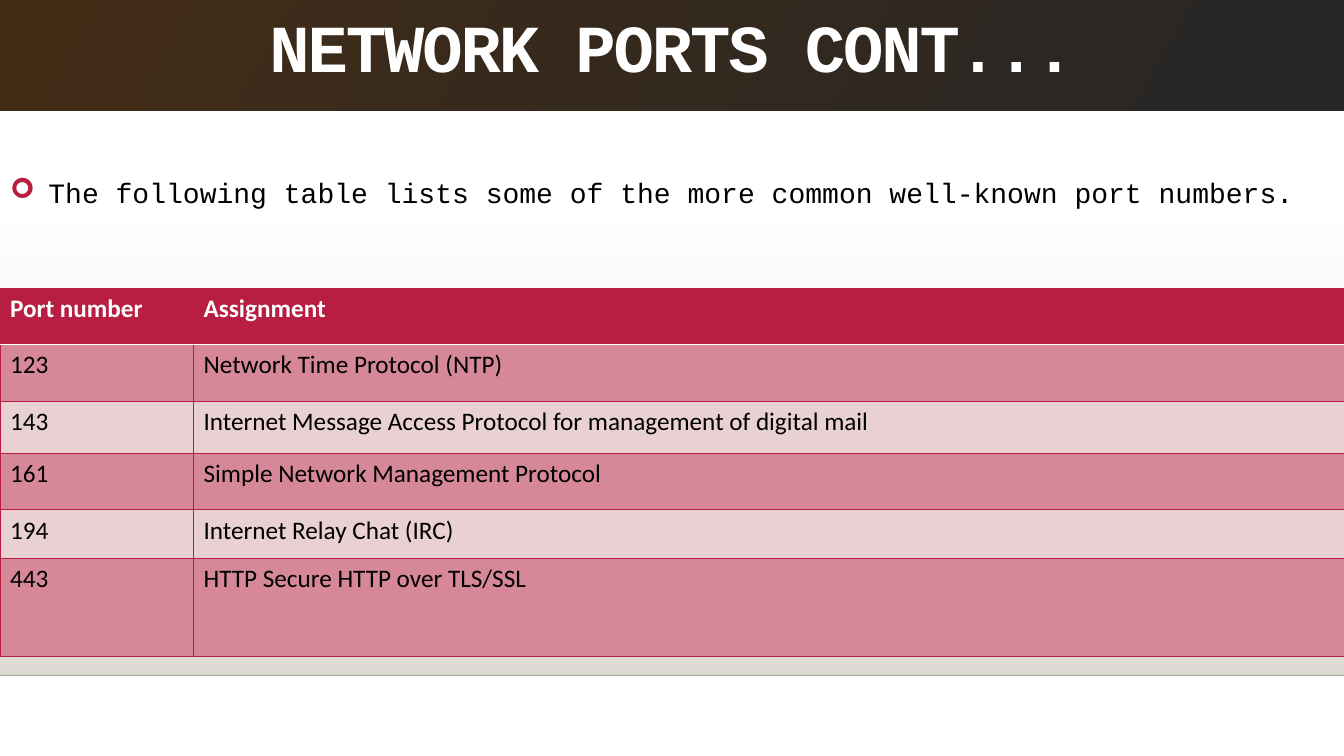
"""Builds the slide that lists common well-known network ports."""
from dataclasses import dataclass

from lxml.etree import SubElement
from pptx import Presentation
from pptx.dml.color import RGBColor
from pptx.enum.shapes import MSO_CONNECTOR as Connector, MSO_SHAPE as Preset
from pptx.enum.text import MSO_ANCHOR as Anchor, MSO_AUTO_SIZE as AutoSize, PP_ALIGN as Align
from pptx.oxml import parse_xml
from pptx.oxml.ns import nsdecls, qn
from pptx.util import Inches, Pt


@dataclass(frozen=True)
class Theme:
    white: str = "FFFFFF"
    black: str = "000000"
    accent: str = "B71E42"
    band_dark: str = "D68899"
    band_light: str = "E8D0D3"
    floor: str = "DFDBD5"
    title_dark: str = "262626"
    title_brown: str = "422C16"
    code_font: str = "Courier New"
    table_font: str = "Calibri"
    title_size: int = 48
    body_size: int = 20
    table_size: int = 18


theme = Theme()


def add_run(paragraph, text, font, size, color, bold=False):
    run = paragraph.add_run()
    run.text = text
    run.font.name, run.font.size, run.font.bold = font, Pt(size), bold
    run.font.color.rgb = RGBColor.from_string(color)
    return run


def set_gradient(shape, stops, angle):
    shape.fill.background()
    old_fill = shape._element.spPr.find(qn("a:noFill"))
    colors = "".join(
        f'<a:gs pos="{position * 1000}"><a:srgbClr val="{color}">'
        f'<a:alpha val="{opacity * 1000}"/></a:srgbClr></a:gs>'
        for position, color, opacity in stops)
    gradient = parse_xml(
        f'<a:gradFill {nsdecls("a")} rotWithShape="1"><a:gsLst>{colors}</a:gsLst>'
        f'<a:lin ang="{angle * 60000}" scaled="0"/></a:gradFill>')
    old_fill.getparent().replace(old_fill, gradient)


presentation = Presentation()
presentation.slide_width, presentation.slide_height = Inches(13.33), Inches(7.5)
width = presentation.slide_width
slide = presentation.slides.add_slide(presentation.slide_layouts[1])
shapes = slide.shapes
title, body = shapes.title, slide.placeholders[1]
title_height, floor_top, floor_bottom = Inches(1.1), Inches(2.21), Inches(6.7)

floor = shapes.add_shape(Preset.RECTANGLE, 0, floor_top, width, floor_bottom - floor_top)
floor.shadow.inherit = False
floor.line.fill.background()
set_gradient(floor, [(0, theme.floor, 0), (100, theme.floor, 100)], 90)

floor_edge = shapes.add_connector(Connector.STRAIGHT, 0, floor_bottom, width, floor_bottom)
floor_edge.line.width = Pt(1)
floor_edge.line.color.rgb = RGBColor.from_string(theme.black)
edge_color = floor_edge._element.spPr.find(".//" + qn("a:srgbClr"))
SubElement(edge_color, qn("a:alpha"), val="20000")
SubElement(floor_edge._element.spPr, qn("a:effectLst"))

for depth, backdrop in enumerate((floor, floor_edge), start=2):
    shapes._spTree.insert(depth, backdrop._element)

title.left, title.top, title.width, title.height = 0, 0, width, title_height
set_gradient(title, [(1, theme.title_dark, 100), (100, theme.title_brown, 100)], 210)
frame = title.text_frame
frame.auto_size, frame.vertical_anchor = AutoSize.NONE, Anchor.MIDDLE
frame.margin_left = frame.margin_right = Inches(0.43)
frame.margin_top = frame.margin_bottom = 0
paragraph = frame.paragraphs[0]
paragraph.alignment, paragraph.line_spacing = Align.CENTER, 0.7
run = add_run(paragraph, "NETWORK PORTS CONT...", theme.code_font,
              theme.title_size, theme.white, bold=True)
run.font._element.set("spc", "-150")

body.left, body.top, body.width, body.height = 0, title_height, width, Inches(1.59)
frame = body.text_frame
frame.auto_size, frame.vertical_anchor = AutoSize.NONE, Anchor.TOP
frame.margin_top = Inches(0.57)
paragraph = frame.paragraphs[0]
properties = paragraph._p.get_or_add_pPr()
properties.set("marL", str(Inches(0.38)))
properties.set("indent", str(-Inches(0.38)))
SubElement(SubElement(properties, qn("a:buClr")), qn("a:srgbClr"), val=theme.accent)
SubElement(properties, qn("a:buFont"), typeface="Wingdings")
SubElement(properties, qn("a:buChar"), char="➢")
paragraph.alignment, paragraph.line_spacing = Align.JUSTIFY, 1.2
paragraph.space_before = Pt(0)
add_run(paragraph, "The following table lists some of the more common well-known port numbers.",
        theme.code_font, theme.body_size, theme.black)

ports = [
    ("Port number", "Assignment", 0.56),
    ("123", "Network Time Protocol (NTP)", 0.56),
    ("143", "Internet Message Access Protocol for management of digital mail", 0.52),
    ("161", "Simple Network Management Protocol", 0.56),
    ("194", "Internet Relay Chat (IRC)", 0.48),
    ("443", "HTTP Secure HTTP over TLS/SSL", 0.97),
]
table_height = Inches(sum(height for *_, height in ports))
table = shapes.add_table(len(ports), 2, 0, Inches(2.86), width, table_height).table
table.columns[0].width = Inches(1.92)
table.columns[1].width = width - Inches(1.92)

for row, (*texts, height) in enumerate(ports):
    table.rows[row].height = Inches(height)
    header = row == 0
    band = theme.band_dark if row % 2 else theme.band_light
    for column, text in enumerate(texts):
        cell = table.cell(row, column)
        cell_properties = cell._tc.get_or_add_tcPr()
        for side in ("lnL", "lnR", "lnT", "lnB"):
            under_header = (row, side) in ((0, "lnB"), (1, "lnT"))
            border = SubElement(cell_properties, qn(f"a:{side}"),
                                w=str(Pt(1.25 if under_header else 0.75)))
            SubElement(SubElement(border, qn("a:solidFill")), qn("a:srgbClr"),
                       val=theme.white if under_header else theme.accent)
        cell.fill.solid()
        cell.fill.fore_color.rgb = RGBColor.from_string(theme.accent if header else band)
        add_run(cell.text_frame.paragraphs[0], text, theme.table_font, theme.table_size,
                theme.white if header else theme.black, bold=header)

presentation.save("out.pptx")
